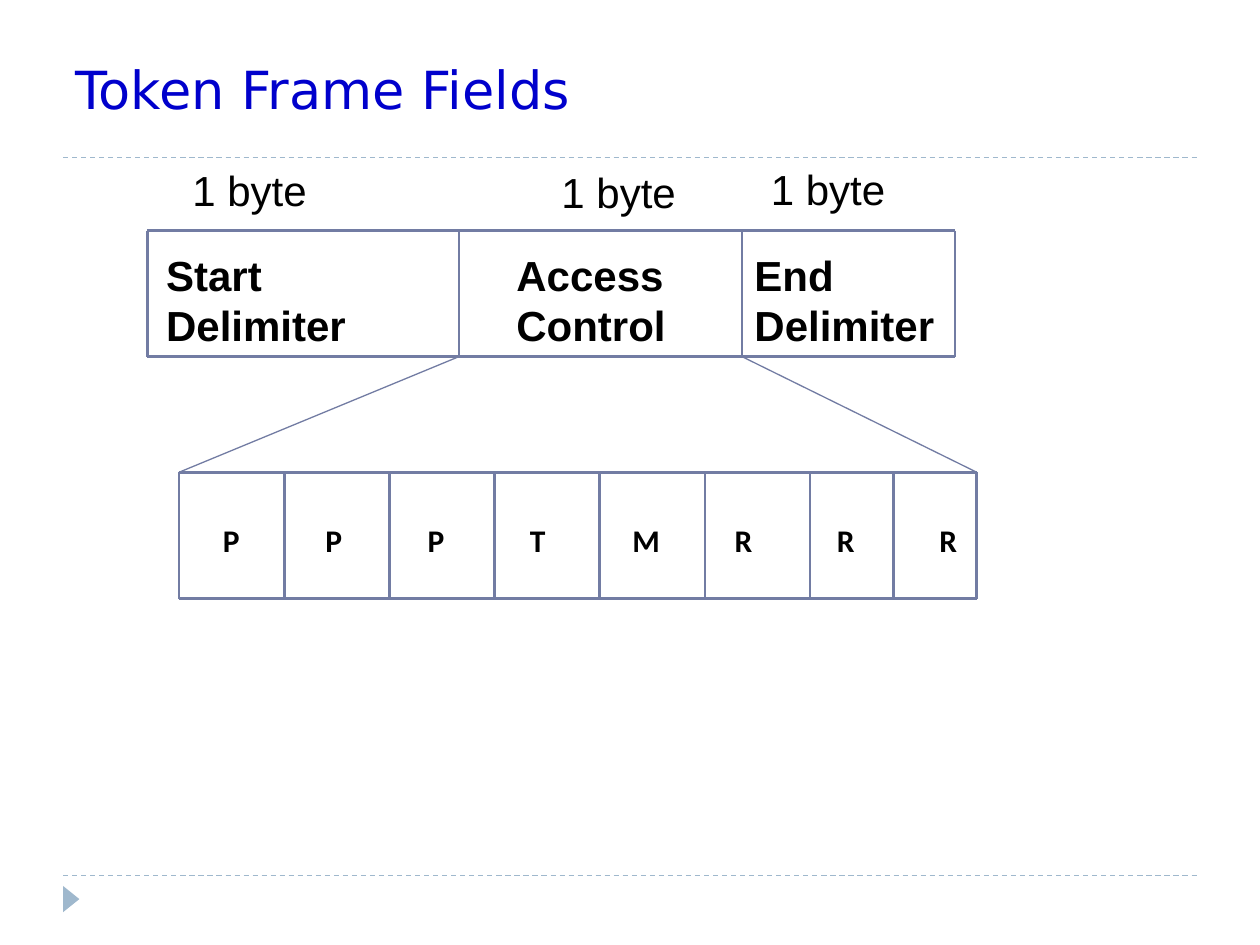
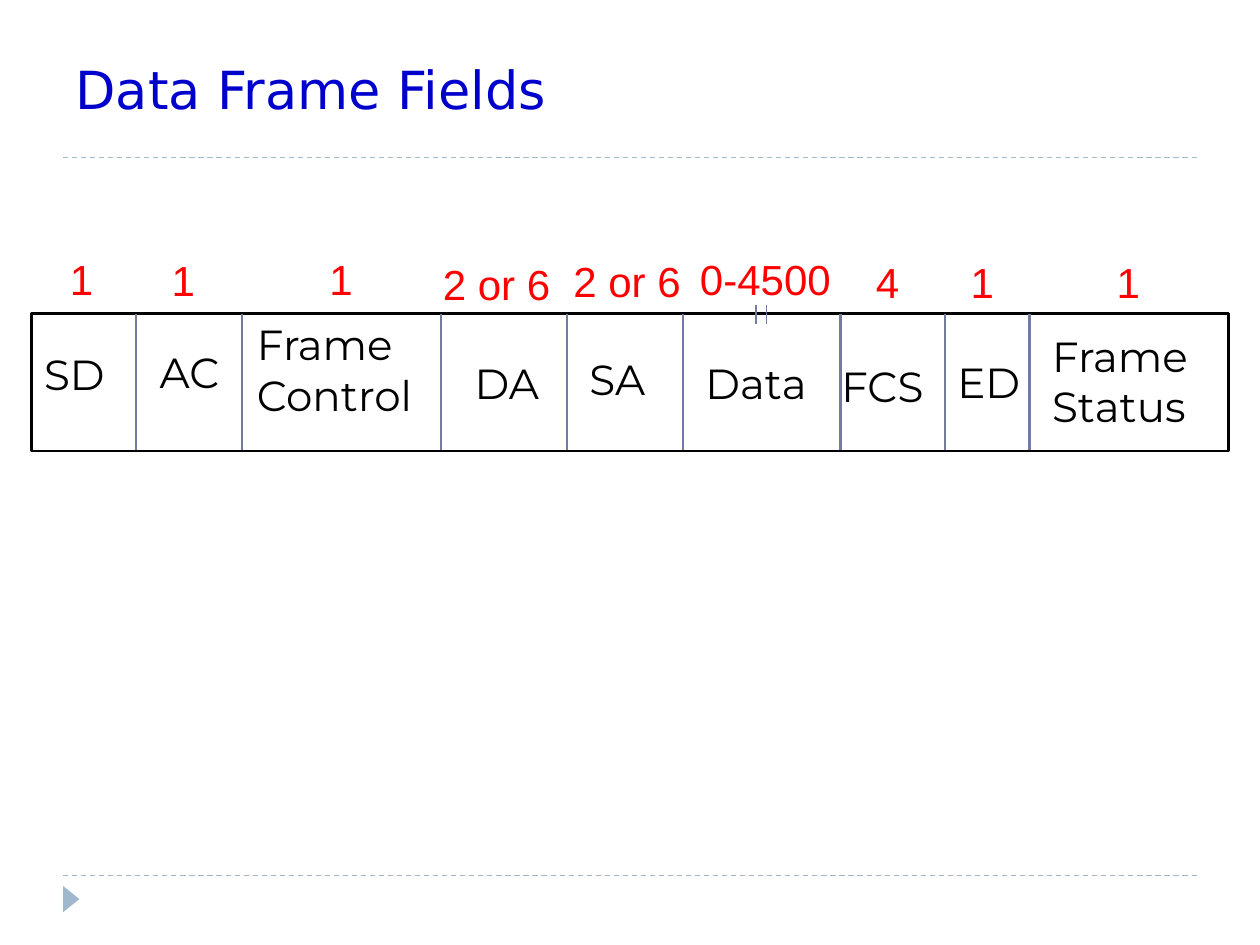
from itertools import accumulate

from lxml import etree
from pptx import Presentation
from pptx.dml.color import RGBColor
from pptx.enum import dml, shapes, text
from pptx.oxml.ns import qn
from pptx.util import Cm, Pt

TITLE_BLUE = "0000CC"
FIELD_LINE = "727CA3"
RULE_BLUE = "9FB8CD"
BLACK = "000000"
WHITE = "FFFFFF"
SIZE_RED = "FF0000"

TITLE_FONT = "DejaVu Sans"
SIZE_FONT = "Arial"
FIELD_FONT = "Montserrat"
BIT_FONT = "Calibri"

# Label, left, top and width; then size in bytes, left, top and width (cm)
DATA_FIELDS = [
    ("SD", 0.64, 6.91, 1.91, "1", 0.69, 4.98, 1.91),
    ("AC", 2.97, 6.86, 1.91, "1", 2.74, 5.0, 1.91),
    ("Frame Control", 4.93, 6.3, 5.03, "1", 5.92, 4.98, 1.91),
    ("DA", 9.32, 7.09, 2.34, "2 or 6", 8.26, 5.08, 3.5),
    ("SA", 11.63, 7.01, 2.11, "2 or 6", 10.9, 5.03, 3.48),
    ("Data", 13.97, 7.09, 3.18, "0-4500", 13.69, 4.98, 3.48),
    ("FCS", 16.71, 7.14, 2.54, "4", 16.94, 5.05, 1.91),
    ("ED", 19.05, 7.06, 1.91, "1", 18.85, 5.05, 1.91),
    ("Frame Status", 20.96, 6.53, 3.61, "1", 21.79, 5.05, 1.91),
]
DATA_DIVIDERS = [2.74, 4.88, 8.89, 11.43, 13.77, 16.94, 19.05, 20.75]


def color(hex_value):
    return RGBColor.from_string(hex_value)


def add_run(paragraph, words, font, size, ink, bold=False):
    run = paragraph.add_run()
    run.text = words
    run.font.name = font
    run.font.size = Pt(size)
    run.font.bold = bold
    run.font.color.rgb = color(ink)


def add_line(slide, x1, y1, x2, y2, ink=FIELD_LINE, width=1.5, dashed=False):
    line = slide.shapes.add_connector(
        shapes.MSO_CONNECTOR.STRAIGHT, Cm(x1), Cm(y1), Cm(x2), Cm(y2))
    line.line.color.rgb = color(ink)
    line.line.width = Pt(width)
    if dashed:
        line.line.dash_style = dml.MSO_LINE.DASH
    etree.SubElement(line._element.spPr, qn("a:effectLst"))


def add_label(slide, lines, left, top, width, font=SIZE_FONT, ink=BLACK,
              bold=False, align=text.PP_ALIGN.LEFT):
    """Add 24-point text, one paragraph for each of the lines."""
    height = 1.27 if len(lines) == 1 else 2.29
    frame = slide.shapes.add_textbox(
        Cm(left), Cm(top), Cm(width), Cm(height)).text_frame
    frame.word_wrap = True
    frame.auto_size = text.MSO_AUTO_SIZE.SHAPE_TO_FIT_TEXT
    for index, words in enumerate(lines):
        paragraph = frame.add_paragraph() if index else frame.paragraphs[0]
        paragraph.alignment = align
        add_run(paragraph, words, font, 24, ink, bold)


def add_dividers(slide, positions, top, bottom):
    for x in positions:
        add_line(slide, x, top, x, bottom)


def add_field_grid(slide, edges, top, bottom):
    for y in (top, bottom):
        add_line(slide, edges[0], y, edges[-1], y)
    add_dividers(slide, edges, top, bottom)


def add_bit_row(slide, bits, left, top, width, height):
    table = slide.shapes.add_table(
        1, len(bits), Cm(left), Cm(top), Cm(width), Cm(height)).table
    table.first_row = table.horz_banding = False
    for cell, bit in zip(table.rows[0].cells, bits):
        cell.fill.solid()
        cell.fill.fore_color.rgb = color(WHITE)
        cell.vertical_anchor = text.MSO_ANCHOR.MIDDLE
        add_run(cell.text_frame.paragraphs[0], bit, BIT_FONT, 18, BLACK, True)


def add_titled_slide(deck, heading):
    """Add a slide with the shared title, dashed rules and corner triangle."""
    slide = deck.slides.add_slide(deck.slide_layouts[5])
    for y in (17.65, 3.18):
        add_line(slide, 1.27, y, 24.13, y, RULE_BLUE, 0.75, dashed=True)

    marker = slide.shapes.add_shape(
        shapes.MSO_SHAPE.ISOSCELES_TRIANGLE,
        Cm(1.17), Cm(17.96), Cm(0.53), Cm(0.33))
    marker.rotation = 90
    marker.shadow.inherit = False
    marker.fill.solid()
    marker.fill.fore_color.rgb = color(RULE_BLUE)
    marker.line.fill.background()

    title = slide.shapes.title
    title.left, title.top = Cm(1.27), Cm(0.43)
    title.width, title.height = Cm(22.86), Cm(2.11)
    frame = title.text_frame
    frame.vertical_anchor = text.MSO_ANCHOR.BOTTOM
    frame.auto_size = text.MSO_AUTO_SIZE.NONE
    frame.paragraphs[0].alignment = text.PP_ALIGN.LEFT
    add_run(frame.paragraphs[0], heading, TITLE_FONT, 30, TITLE_BLUE)
    return slide


def build_token_frame(deck):
    slide = add_titled_slide(deck, "Token Frame Fields")

    field_edges = [2.97, 9.25, 14.96, 19.25]
    field_top, field_bottom = 4.65, 7.19
    add_field_grid(slide, field_edges, field_top, field_bottom)
    for lines, left, width in [(["Start", "Delimiter"], 3.1, 4.95),
                               (["Access Control"], 10.16, 4.45),
                               (["End Delimiter"], 14.96, 5.08)]:
        add_label(slide, lines, left, 4.9, width, bold=True)
    for left, top in [(3.63, 3.2), (11.07, 3.23), (15.29, 3.18)]:
        add_label(slide, ["1 byte"], left, top, 4.01)

    add_bit_row(slide, "PPPTMRRR", 4.24, 10.41, 16.51, 1.02)
    bit_edges = list(accumulate([3.61] + [2.12] * 6 + [1.68, 1.68]))
    bit_top = 9.52
    add_field_grid(slide, bit_edges, bit_top, 12.07)

    # The access control field opens out into its bits
    add_line(slide, field_edges[1], field_bottom, bit_edges[0], bit_top,
             width=0.75)
    add_line(slide, field_edges[2], field_bottom, bit_edges[-1], bit_top,
             width=0.75)


def build_data_frame(deck):
    slide = add_titled_slide(deck, "Data Frame Fields")

    outline = slide.shapes.add_shape(
        shapes.MSO_SHAPE.RECTANGLE, Cm(0.64), Cm(6.32), Cm(24.13), Cm(2.77))
    outline.shadow.inherit = False
    outline.fill.background()
    outline.line.color.rgb = color(BLACK)
    outline.line.width = Pt(1.5)
    add_dividers(slide, DATA_DIVIDERS, 6.32, 9.07)

    for label, left, top, width, size, size_left, size_top, size_width in DATA_FIELDS:
        add_label(slide, [label], left, top, width, FIELD_FONT)
        add_label(slide, [size], size_left, size_top, size_width,
                  ink=SIZE_RED, align=text.PP_ALIGN.CENTER)

    # Break marks for the variable length of the data
    for x in (15.24, 15.45):
        add_line(slide, x, 6.14, x, 6.53, width=0.75)


def main():
    deck = Presentation()
    deck.slide_width, deck.slide_height = Cm(25.4), Cm(19.05)
    build_token_frame(deck)
    build_data_frame(deck)
    deck.save("out.pptx")


if __name__ == "__main__":
    main()
